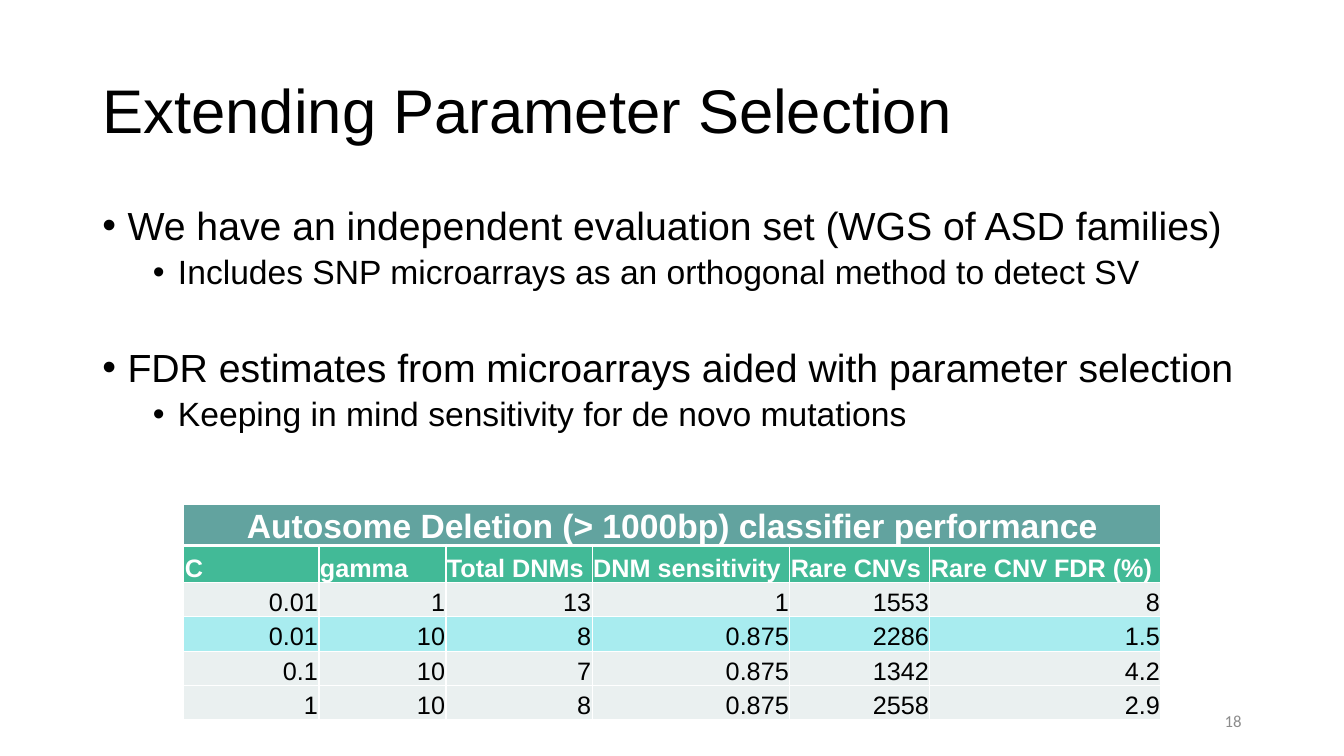
from lxml import etree
from pptx import Presentation
from pptx import util as u
from pptx.dml.color import RGBColor
from pptx.enum import text
from pptx.oxml import ns

SLIDE_WIDTH = u.Inches(13.33)
SLIDE_HEIGHT = u.Inches(7.5)

BLACK = RGBColor(0x00, 0x00, 0x00)
WHITE = RGBColor(0xFF, 0xFF, 0xFF)
GREY = RGBColor(0x8C, 0x8C, 0x8C)
TEAL = RGBColor(0x62, 0xA3, 0x9F)
GREEN = RGBColor(0x42, 0xBA, 0x97)
PALE = RGBColor(0xEA, 0xF0, 0xF0)
HIGHLIGHT = RGBColor(0xA8, 0xEC, 0xEF)

BULLETS = [
    (0, 10, "We have an independent evaluation set (WGS of ASD families)"),
    (1, 5, "Includes SNP microarrays as an orthogonal method to detect SV"),
    (0, 40, "FDR estimates from microarrays aided with parameter selection"),
    (1, 5, "Keeping in mind sensitivity for de novo mutations"),
]
TABLE_TITLE = "Autosome Deletion (> 1000bp) classifier performance"
HEADINGS = ["C", "gamma", "Total DNMs", "DNM sensitivity", "Rare CNVs", "Rare CNV FDR (%)"]
RESULTS = [
    ["0.01", "1", "13", "1", "1553", "8"],
    ["0.01", "10", "8", "0.875", "2286", "1.5"],
    ["0.1", "10", "7", "0.875", "1342", "4.2"],
    ["1", "10", "8", "0.875", "2558", "2.9"],
]
SELECTED_RESULT = 1
COLUMN_WIDTHS = [1.34, 1.26, 1.45, 1.96, 1.39, 2.29]
ROW_HEIGHTS = [0.39, 0.37] + [0.34] * len(RESULTS)


def area(left, top, width, height):
    """Turn percentages of the slide into lengths."""
    return (
        int(SLIDE_WIDTH * left / 100),
        int(SLIDE_HEIGHT * top / 100),
        int(SLIDE_WIDTH * width / 100),
        int(SLIDE_HEIGHT * height / 100),
    )


def format_paragraph(paragraph, size, color, alignment, font_name="Arial", bold=False):
    paragraph.alignment = alignment
    for run in paragraph.runs:
        run.font.name = font_name
        run.font.size = u.Pt(size)
        run.font.bold = bold
        run.font.color.rgb = color


def add_title(slide, wording):
    title = slide.shapes.title
    title.left, title.top, title.width, title.height = area(6.88, 5.32, 86.25, 19.33)
    frame = title.text_frame
    frame.text = wording
    frame.auto_size = text.MSO_AUTO_SIZE.NONE
    frame.vertical_anchor = text.MSO_ANCHOR.MIDDLE
    paragraph = frame.paragraphs[0]
    paragraph.line_spacing = 0.9
    format_paragraph(paragraph, 44, BLACK, text.PP_ALIGN.LEFT)


def add_bullet(paragraph, level):
    paragraph.level = level
    properties = paragraph._p.get_or_add_pPr()
    properties.set("marL", str(u.Inches(0.25 + 0.5 * level)))
    properties.set("indent", str(u.Inches(-0.25)))
    font = etree.SubElement(properties, ns.qn("a:buFont"))
    font.set("typeface", "Arial")
    etree.SubElement(properties, ns.qn("a:buChar")).set("char", "•")


def add_bullet_list(slide, items):
    frame = slide.shapes.add_textbox(*area(6.88, 26.67, 86.25, 63.46)).text_frame
    frame.word_wrap = True
    for index, (level, space_before, wording) in enumerate(items):
        paragraph = frame.add_paragraph() if index else frame.paragraphs[0]
        paragraph.text = wording
        add_bullet(paragraph, level)
        paragraph.line_spacing = 0.9
        paragraph.space_before = u.Pt(space_before if index else 0)
        format_paragraph(paragraph, 28 - 4 * level, BLACK, text.PP_ALIGN.LEFT)


def add_page_number(slide, number):
    frame = slide.shapes.add_textbox(*area(70.63, 92.69, 22.5, 5.32)).text_frame
    frame.word_wrap = True
    frame.vertical_anchor = text.MSO_ANCHOR.MIDDLE
    frame.text = number
    format_paragraph(frame.paragraphs[0], 12, GREY, text.PP_ALIGN.RIGHT, "Calibri")


def set_borders(cell, top=1, bottom=1):
    properties = cell._tc.get_or_add_tcPr()
    for side, width in (("L", 1), ("R", 1), ("T", top), ("B", bottom)):
        line = etree.SubElement(properties, ns.qn("a:ln" + side))
        line.set("w", str(u.Pt(width)))
        fill = etree.SubElement(line, ns.qn("a:solidFill"))
        etree.SubElement(fill, ns.qn("a:srgbClr")).set("val", str(WHITE))


def format_cell(cell, wording, fill, size, color, alignment, bold):
    cell.margin_left = cell.margin_right = cell.margin_top = u.Inches(0.01)
    cell.margin_bottom = 0
    cell.vertical_anchor = text.MSO_ANCHOR.BOTTOM
    cell.fill.solid()
    cell.fill.fore_color.rgb = fill
    cell.text_frame.text = wording
    format_paragraph(cell.text_frame.paragraphs[0], size, color, alignment, bold=bold)


def add_performance_table(slide):
    row_count, column_count = len(ROW_HEIGHTS), len(COLUMN_WIDTHS)
    frame = slide.shapes.add_table(row_count, column_count, *area(13.68, 66.67, 72.7, 28.27))
    table = frame.table
    for column, width in zip(table.columns, COLUMN_WIDTHS):
        column.width = u.Inches(width)
    for row, height in zip(table.rows, ROW_HEIGHTS):
        row.height = u.Inches(height)

    for row_index, row in enumerate(table.rows):
        for cell in row.cells:
            set_borders(cell, 3 if row_index == 1 else 1, 3 if row_index == 0 else 1)

    title_cell = table.cell(0, 0)
    title_cell.merge(table.cell(0, column_count - 1))
    format_cell(title_cell, TABLE_TITLE, TEAL, 24, WHITE, text.PP_ALIGN.CENTER, True)
    for column_index, heading in enumerate(HEADINGS):
        cell = table.cell(1, column_index)
        format_cell(cell, heading, GREEN, 18, WHITE, text.PP_ALIGN.LEFT, True)
    for result_index, values in enumerate(RESULTS):
        fill = HIGHLIGHT if result_index == SELECTED_RESULT else PALE
        for column_index, value in enumerate(values):
            cell = table.cell(result_index + 2, column_index)
            format_cell(cell, value, fill, 18, BLACK, text.PP_ALIGN.RIGHT, False)


def main():
    presentation = Presentation()
    presentation.slide_width = SLIDE_WIDTH
    presentation.slide_height = SLIDE_HEIGHT
    slide = presentation.slides.add_slide(presentation.slide_layouts[5])
    add_title(slide, "Extending Parameter Selection")
    add_bullet_list(slide, BULLETS)
    add_page_number(slide, "18")
    add_performance_table(slide)
    presentation.save("out.pptx")


if __name__ == "__main__":
    main()
